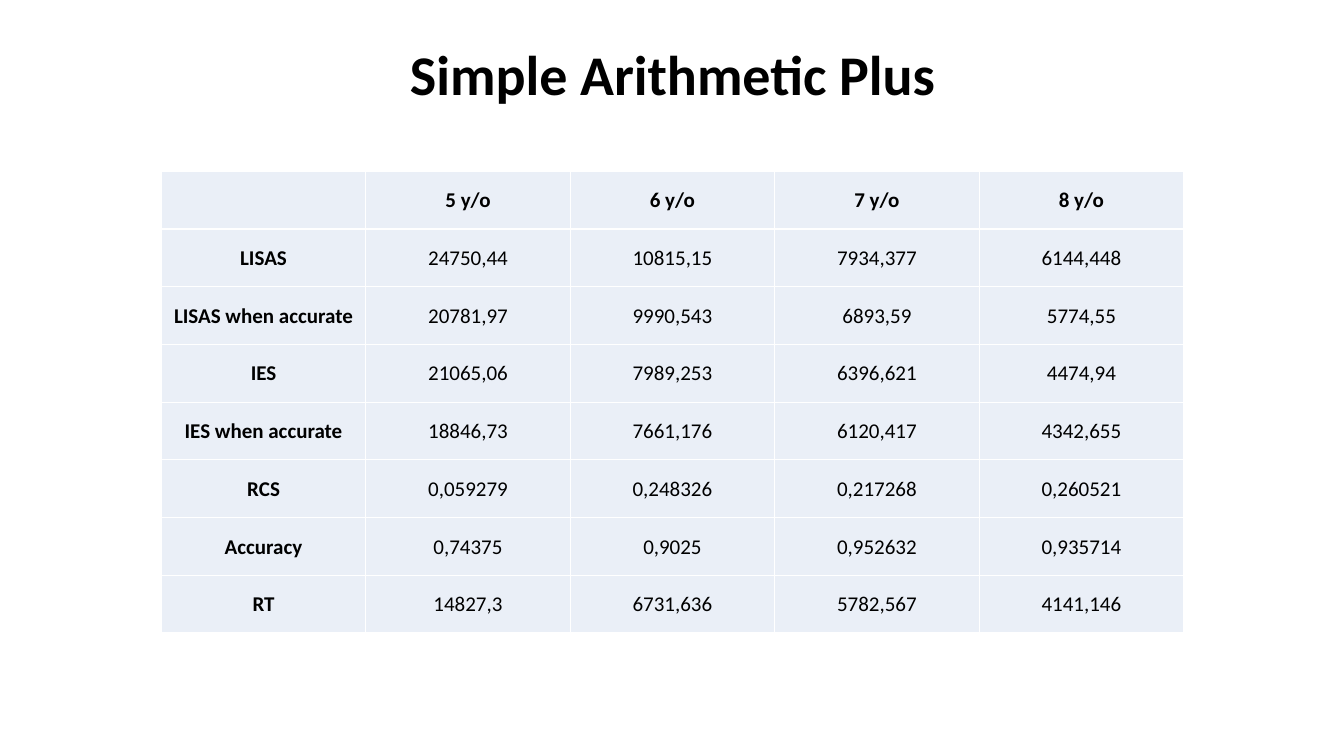
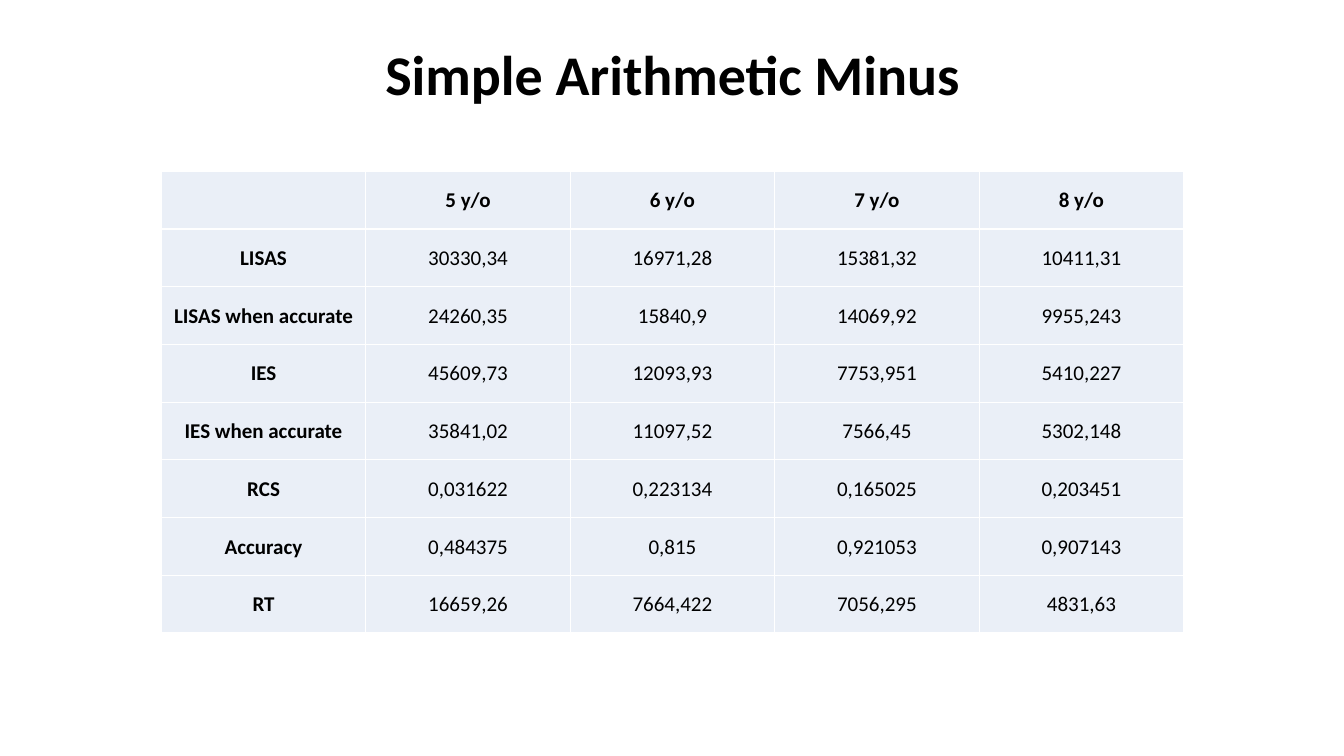
from lxml.etree import SubElement
from pptx import Presentation
from pptx.dml.color import RGBColor
from pptx.enum.text import MSO_ANCHOR as Anchor, PP_ALIGN as Align
from pptx.oxml.ns import qn
from pptx.util import Inches, Pt

FONT = "Calibri"
BLACK, WHITE, PALE_BLUE = "000000", "FFFFFF", "EAEFF7"
AGES = ["5 y/o", "6 y/o", "7 y/o", "8 y/o"]
MEASURES = ["LISAS", "LISAS when accurate", "IES", "IES when accurate",
            "RCS", "Accuracy", "RT"]
RESULTS = {
    "Simple Arithmetic Plus": [
        ["24750,44", "10815,15", "7934,377", "6144,448"],
        ["20781,97", "9990,543", "6893,59", "5774,55"],
        ["21065,06", "7989,253", "6396,621", "4474,94"],
        ["18846,73", "7661,176", "6120,417", "4342,655"],
        ["0,059279", "0,248326", "0,217268", "0,260521"],
        ["0,74375", "0,9025", "0,952632", "0,935714"],
        ["14827,3", "6731,636", "5782,567", "4141,146"],
    ],
    "Simple Arithmetic Minus": [
        ["30330,34", "16971,28", "15381,32", "10411,31"],
        ["24260,35", "15840,9", "14069,92", "9955,243"],
        ["45609,73", "12093,93", "7753,951", "5410,227"],
        ["35841,02", "11097,52", "7566,45", "5302,148"],
        ["0,031622", "0,223134", "0,165025", "0,203451"],
        ["0,484375", "0,815", "0,921053", "0,907143"],
        ["16659,26", "7664,422", "7056,295", "4831,63"],
    ],
}


def color(hex_code):
    """Turn a hex string into a colour."""
    return RGBColor.from_string(hex_code)


def write(frame, text, size, bold):
    """Put one centred, styled paragraph into a text frame."""
    frame.text = text
    paragraph = frame.paragraphs[0]
    paragraph.alignment = Align.CENTER
    font = paragraph.font
    for run in paragraph.runs:
        font = run.font
    font.name, font.size, font.bold = FONT, Pt(size), bold
    font.color.rgb = color(BLACK)


def add_title(slide, text):
    """Add the bold slide heading."""
    heading = slide.shapes.add_textbox(
        Inches(0.92), Inches(0.4), Inches(11.5), Inches(0.74))
    frame = heading.text_frame
    frame.word_wrap = True
    frame.vertical_anchor = Anchor.MIDDLE
    write(frame, text, 40, True)
    frame.paragraphs[0].line_spacing = 0.9


def add_borders(cell):
    """Draw a thin white line on every side of a cell."""
    properties = cell._tc.get_or_add_tcPr()
    for side in ("a:lnL", "a:lnR", "a:lnT", "a:lnB"):
        border = SubElement(properties, qn(side), w=str(Pt(1)))
        fill = SubElement(border, qn("a:solidFill"))
        SubElement(fill, qn("a:srgbClr"), val=WHITE)


def style_cell(cell, text, bold):
    """Write a cell and set its margins, borders and fill."""
    cell.margin_left = cell.margin_right = cell.margin_top = Inches(0.01)
    cell.margin_bottom = 0
    cell.vertical_anchor = Anchor.MIDDLE
    write(cell.text_frame, text, 15, bold)
    add_borders(cell)
    cell.fill.solid()
    cell.fill.fore_color.rgb = color(PALE_BLUE)


def add_results(slide, values):
    """Add the table of measures by age."""
    rows = [["", *AGES]]
    rows += [[measure, *scores] for measure, scores in zip(MEASURES, values)]
    table = slide.shapes.add_table(
        len(rows), len(rows[0]),
        Inches(1.6), Inches(1.7), Inches(10.14), Inches(4.58)).table
    for r, row in enumerate(rows):
        for c, text in enumerate(row):
            style_cell(table.cell(r, c), text, r == 0 or c == 0)


def main():
    """Build one slide for each arithmetic task."""
    deck = Presentation()
    deck.slide_width, deck.slide_height = Inches(13.33), Inches(7.5)
    for task, values in RESULTS.items():
        slide = deck.slides.add_slide(deck.slide_layouts[6])
        add_title(slide, task)
        add_results(slide, values)
    deck.save("out.pptx")


main()
